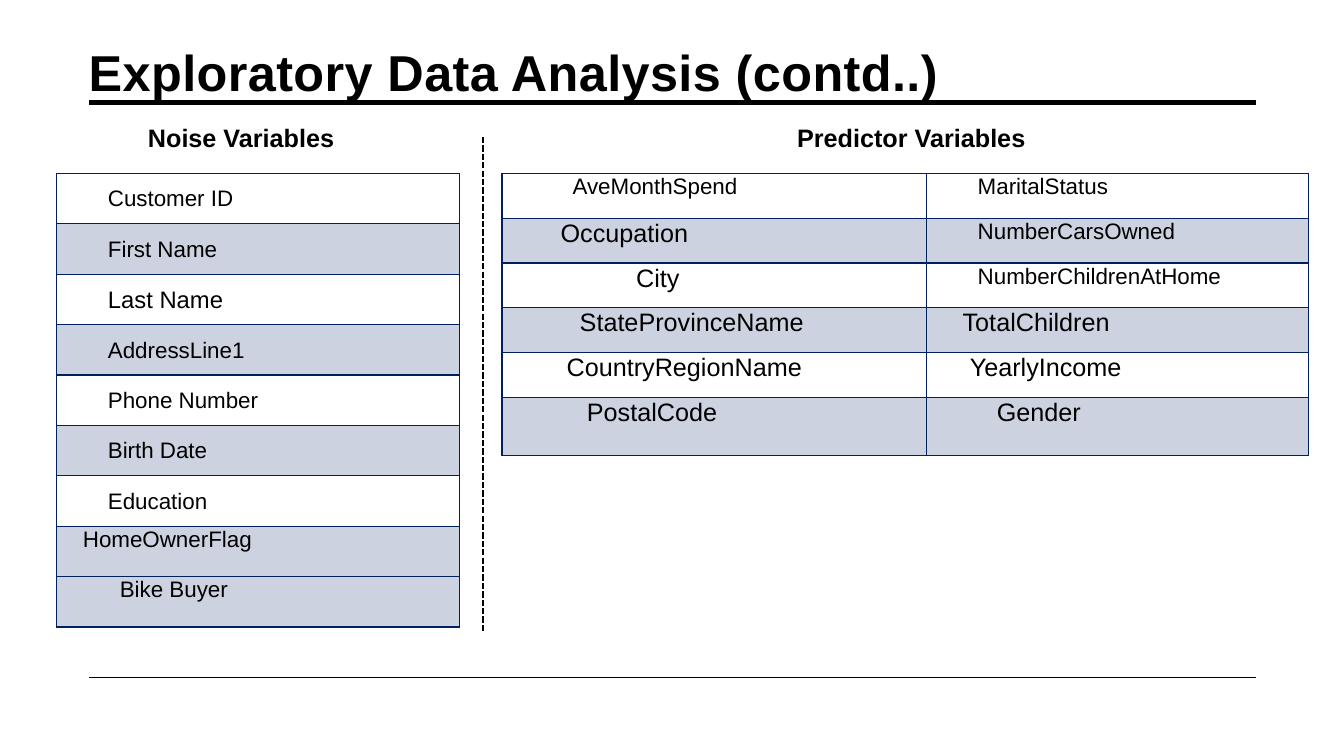
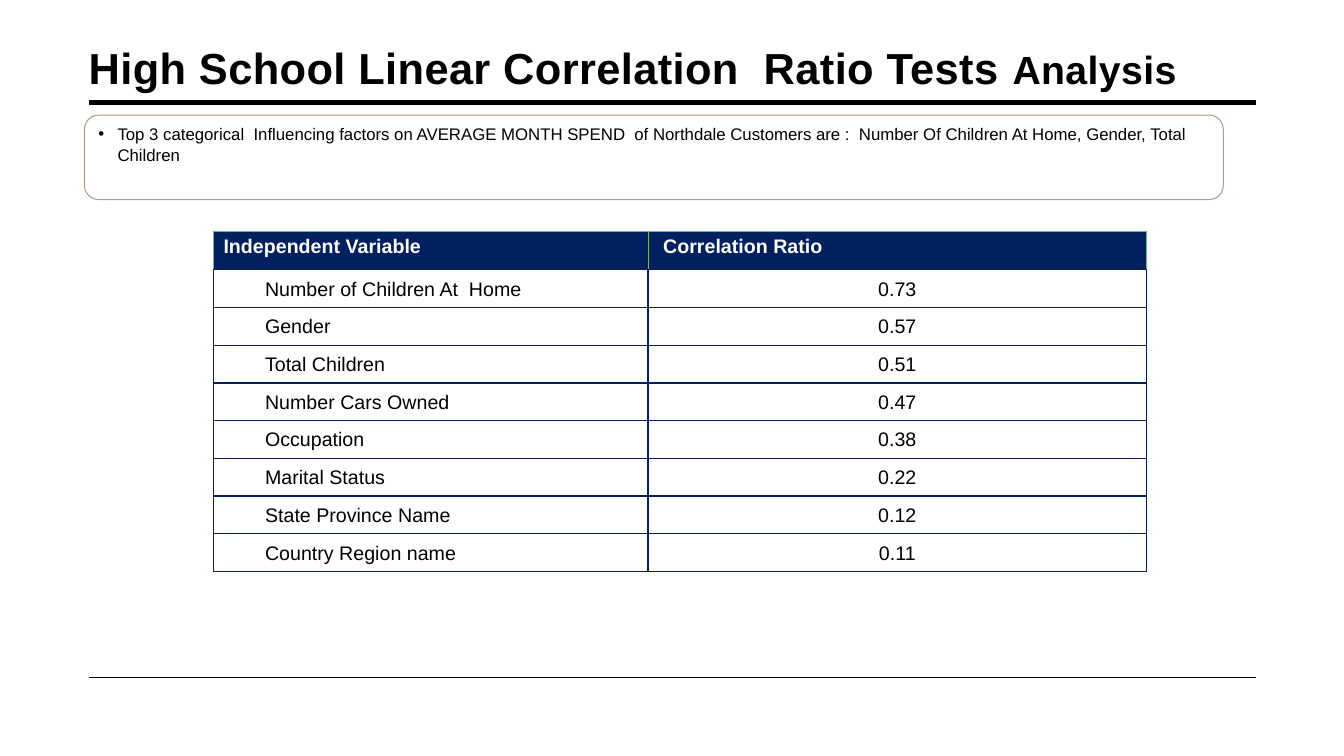
from dataclasses import dataclass

from pptx import Presentation
from pptx.dml.color import RGBColor
from pptx.enum.dml import MSO_LINE
from pptx.enum.shapes import MSO_CONNECTOR, MSO_SHAPE
from pptx.enum.text import MSO_ANCHOR, PP_ALIGN
from pptx.oxml.ns import qn
from pptx.util import Cm, Pt
from lxml.etree import SubElement

FONT = "Arial"
BLACK, WHITE, NAVY, GREEN, TAN = "000000", "FFFFFF", "002060", "78B07E", "BA997F"
INDENT = 1.27


@dataclass
class Span:
    """A piece of title text with its size."""
    text: str
    size: float


@dataclass
class Rule:
    """A straight line between two points, in centimetres."""
    x1: float
    y1: float
    x2: float
    y2: float
    width: float
    dashed: bool = False


@dataclass
class Entry:
    """The content and look of one table cell."""
    text: str
    size: float = 16
    indent: float = INDENT
    tinted: bool = False
    header: bool = False
    centred: bool = False
    middle: bool = False


@dataclass
class Grid:
    """A table with its place, column widths and row heights in centimetres."""
    left: float
    top: float
    columns: list[float]
    heights: list[float]
    rows: list[list[Entry]]


LAYOUT_RULES = [
    Rule(2.24, 2.59, 31.65, 2.59, 3.5),
    Rule(2.24, 17.07, 31.65, 17.07, 1),
]
DIVIDER = Rule(12.17, 3.45, 12.17, 15.95, 1.5, dashed=True)
HEADINGS = [("Noise Variables", 3.48), ("Predictor Variables", 19.84)]

NOISE = [
    Entry("Customer ID", middle=True),
    Entry("First Name", middle=True, tinted=True),
    Entry("Last Name", 17, middle=True),
    Entry("AddressLine1", middle=True, tinted=True),
    Entry("Phone Number", middle=True),
    Entry("Birth Date", middle=True, tinted=True),
    Entry("Education", middle=True),
    Entry("HomeOwnerFlag", indent=0.64, tinted=True),
    Entry("Bike Buyer", indent=1.57, tinted=True),
]
PREDICTORS = [
    [Entry("AveMonthSpend", 16, 1.75), Entry("MaritalStatus")],
    [Entry("Occupation", 18, 1.45), Entry("NumberCarsOwned")],
    [Entry("City", 18, 3.35), Entry("NumberChildrenAtHome")],
    [Entry("StateProvinceName", 18, 1.93), Entry("TotalChildren", 18, 0.89)],
    [Entry("CountryRegionName", 18, 1.6), Entry("YearlyIncome", 18, 1.07)],
    [Entry("PostalCode", 18, 2.11), Entry("Gender", 18, 1.75)],
]
RATIOS = [
    ("Number of Children At  Home", "0.73"),
    ("Gender", "0.57"),
    ("Total Children", "0.51"),
    ("Number Cars Owned", "0.47"),
    ("Occupation", "0.38"),
    ("Marital Status", "0.22"),
    ("State Province Name", "0.12"),
    ("Country Region name", "0.11"),
]
FACTORS = (
    "Top 3 categorical  Influencing factors on AVERAGE MONTH SPEND  of Northdale "
    "Customers are :  Number Of Children At Home, Gender, Total Children"
)


def colour(value: str) -> RGBColor:
    """Turn a hex string into a colour."""
    return RGBColor.from_string(value)


def format_span(span, size: float, shade: str = BLACK, bold: bool = False) -> None:
    """Apply the shared font to a run."""
    span.font.name = FONT
    span.font.size = Pt(size)
    span.font.bold = bold
    span.font.color.rgb = colour(shade)


def add_rule(page, rule: Rule):
    """Draw a black line without a shadow."""
    line = page.shapes.add_connector(
        MSO_CONNECTOR.STRAIGHT, Cm(rule.x1), Cm(rule.y1), Cm(rule.x2), Cm(rule.y2))
    line.line.color.rgb = colour(BLACK)
    line.line.width = Pt(rule.width)
    if rule.dashed:
        line.line.dash_style = MSO_LINE.SQUARE_DOT
    SubElement(line.element.spPr, qn("a:effectLst"))
    return line


def share_rules(page) -> None:
    """Place the header and footer lines on the layout of the page."""
    for number, rule in enumerate(LAYOUT_RULES, start=101):
        line = add_rule(page, rule)
        line.element.xpath(".//p:cNvPr")[0].set("id", str(number))
        page.slide_layout.shapes.element.append(line.element)


def add_page(deck, spans: list[Span], title_width: float):
    """Add a page with a formatted title."""
    page = deck.slides.add_slide(deck.slide_layouts[5])
    title = page.shapes.title
    title.left, title.top = Cm(1.98), Cm(0.79)
    title.width, title.height = Cm(title_width), Cm(1.75)
    frame = title.text_frame
    frame.vertical_anchor = MSO_ANCHOR.TOP
    frame.margin_top = Cm(0.25)
    para = frame.paragraphs[0]
    para.alignment = PP_ALIGN.LEFT
    for item in spans:
        span = para.add_run()
        span.text = item.text
        format_span(span, item.size, bold=True)
        span.font._element.set("spc", "30")
    return page


def add_heading(page, text: str, left: float) -> None:
    """Add a bold heading above a table."""
    box = page.shapes.add_textbox(Cm(left), Cm(2.95), Cm(7.54), Cm(1.02))
    box.text_frame.word_wrap = True
    box.text_frame.text = text
    format_span(box.text_frame.paragraphs[0].runs[0], 18, bold=True)


def add_borders(cell, header: bool) -> None:
    """Outline a cell on its four sides."""
    properties = cell._tc.get_or_add_tcPr()
    for side in "LRTB":
        light = header and side != "B"
        line = SubElement(properties, qn(f"a:ln{side}"), w=str(Pt(0.5 if light else 1)))
        fill = SubElement(line, qn("a:solidFill"))
        SubElement(fill, qn("a:srgbClr"), val=GREEN if light else NAVY)


def fill_cell(cell, entry: Entry) -> None:
    """Write and format one table cell."""
    add_borders(cell, entry.header)
    cell.fill.solid()
    cell.fill.fore_color.rgb = colour(NAVY if entry.header or entry.tinted else WHITE)
    if entry.tinted:
        SubElement(cell._tc.tcPr.find(qn("a:solidFill"))[0], qn("a:alpha"), val="20000")
    if not entry.header:
        cell.margin_left = cell.margin_right = cell.margin_top = Cm(0.03)
        cell.margin_bottom = Cm(0)
    cell.vertical_anchor = MSO_ANCHOR.MIDDLE if entry.middle else MSO_ANCHOR.TOP
    cell.text_frame.text = entry.text
    para = cell.text_frame.paragraphs[0]
    para.alignment = PP_ALIGN.CENTER if entry.centred else PP_ALIGN.LEFT
    para._p.get_or_add_pPr().set("marL", str(Cm(entry.indent)))
    format_span(para.runs[0], entry.size, WHITE if entry.header else BLACK, entry.header)


def add_grid(page, grid: Grid) -> None:
    """Add a table and fill its cells."""
    table = page.shapes.add_table(
        len(grid.rows), len(grid.columns), Cm(grid.left), Cm(grid.top),
        Cm(sum(grid.columns)), Cm(sum(grid.heights))).table
    table.first_row = table.horz_banding = False
    for column, width in zip(table.columns, grid.columns):
        column.width = Cm(width)
    for row, height, entries in zip(table.rows, grid.heights, grid.rows):
        row.height = Cm(height)
        for cell, entry in zip(row.cells, entries):
            fill_cell(cell, entry)


def add_callout(page, text: str) -> None:
    """Add the rounded box with a bulleted remark."""
    box = page.shapes.add_shape(
        MSO_SHAPE.ROUNDED_RECTANGLE, Cm(2.13), Cm(2.9), Cm(28.7), Cm(2.13))
    box.shadow.inherit = False
    box.fill.background()
    box.line.color.rgb = colour(TAN)
    box.line.width = Pt(0.75)
    frame = box.text_frame
    frame.word_wrap = True
    frame.vertical_anchor = MSO_ANCHOR.TOP
    frame.text = text
    para = frame.paragraphs[0]
    para.alignment = PP_ALIGN.LEFT
    para.space_before = Pt(4)
    properties = para._p.get_or_add_pPr()
    properties.set("marL", str(Cm(0.48)))
    properties.set("indent", str(Cm(-0.48)))
    SubElement(properties, qn("a:buFont"), typeface=FONT)
    SubElement(properties, qn("a:buChar"), char="•")
    format_span(para.runs[0], 12)


def build_variables(deck) -> None:
    """Build the page that lists noise and predictor variables."""
    page = add_page(deck, [Span("Exploratory Data Analysis (contd..)", 36)], 27.94)
    share_rules(page)
    for number, row in enumerate(PREDICTORS):
        for entry in row:
            entry.tinted = number % 2 == 1
    add_grid(page, Grid(12.65, 4.37, [10.69, 9.63], [1.13] * 5 + [1.47], PREDICTORS))
    add_grid(page, Grid(1.42, 4.37, [10.16], [1.27] * 9, [[entry] for entry in NOISE]))
    for text, left in HEADINGS:
        add_heading(page, text, left)
    add_rule(page, DIVIDER)


def build_ratios(deck) -> None:
    """Build the page with the correlation ratios."""
    page = add_page(deck, [
        Span("High School Linear Correlation  Ratio Tests ", 31), Span("Analysis", 28)], 30.1)
    add_callout(page, FACTORS)
    rows = [[Entry("Independent Variable", 14, 0, header=True),
             Entry("Correlation Ratio", 14, 0.13, header=True)]]
    rows += [[Entry(name, 14, middle=True), Entry(ratio, 14, 0, centred=True, middle=True)]
             for name, ratio in RATIOS]
    add_grid(page, Grid(5.38, 5.82, [10.95, 12.57], [0.98] + [0.95] * 8, rows))


def main() -> None:
    """Build and save the deck."""
    deck = Presentation()
    deck.slide_width, deck.slide_height = Cm(33.87), Cm(19.05)
    build_variables(deck)
    build_ratios(deck)
    deck.save("out.pptx")


if __name__ == "__main__":
    main()
